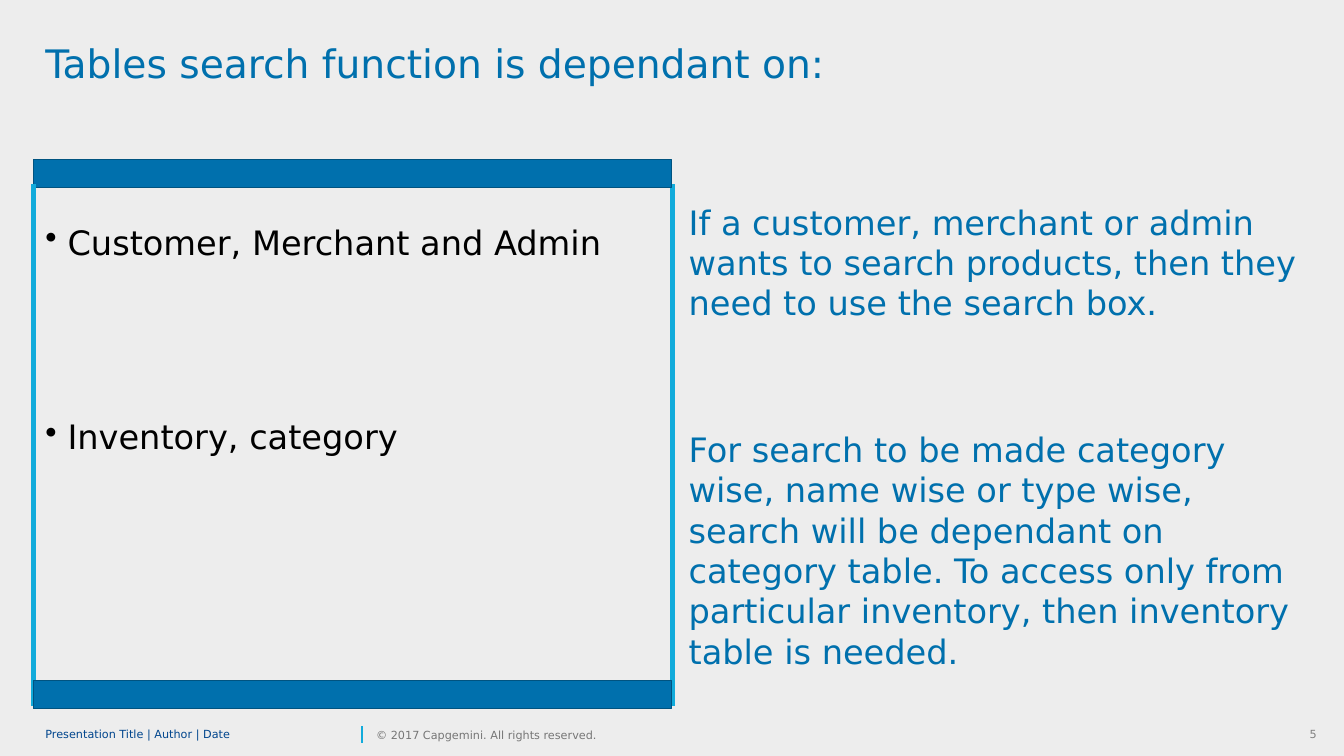
from pptx import Presentation
from pptx import util as u
from pptx.dml.color import RGBColor
from pptx.enum import shapes, text
from pptx.oxml.ns import qn
from lxml import etree

COLORS = {"back": "EDEDED", "blue": "0070AD", "edge": "005380", "cyan": "12ABDB",
          "navy": "00458D", "gray": "808080", "dim": "767676", "black": "000000"}


class Deck:
    font = "DejaVu Sans"

    def __init__(self, width, height):
        self.prs = Presentation()
        self.prs.slide_width, self.prs.slide_height = u.Inches(width), u.Inches(height)
        self.slide = self.prs.slides.add_slide(self.prs.slide_layouts[6])
        fill = self.slide.background.fill
        fill.solid()
        fill.fore_color.rgb = self.color("back")

    def color(self, name):
        return RGBColor.from_string(COLORS[name])

    def bar(self, *place):
        box = self.slide.shapes.add_shape(shapes.MSO_SHAPE.RECTANGLE, *map(u.Inches, place))
        box.shadow.inherit = False
        box.fill.solid()
        box.fill.fore_color.rgb = self.color("blue")
        box.line.color.rgb = self.color("edge")
        box.line.width = u.Pt(1)

    def rule(self, x, top, end, width):
        """Draw a vertical cyan line."""
        line = self.slide.shapes.add_connector(
            shapes.MSO_CONNECTOR.STRAIGHT, *map(u.Inches, (x, end, x, top)))
        line.line.color.rgb = self.color("cyan")
        line.line.width = u.Pt(width)
        etree.SubElement(line._element.spPr, qn("a:effectLst"))

    def text(self, place, lines, size, color, gap=0, bullet=False, **form):
        """Add one paragraph per line, with gap points between them."""
        frame = self.slide.shapes.add_textbox(*map(u.Inches, place)).text_frame
        style = {"word_wrap": True, "margin_left": 0, "margin_right": 0,
                 "margin_top": 0, "margin_bottom": 0,
                 "vertical_anchor": form.pop("anchor", text.MSO_ANCHOR.TOP)}
        for key, value in style.items():
            setattr(frame, key, value)
        for i, line in enumerate(lines):
            para = frame.paragraphs[0] if i == 0 else frame.add_paragraph()
            para.text = line
            if bullet:
                props = para._p.get_or_add_pPr()
                props.set("marL", str(u.Inches(0.22)))
                props.set("indent", str(-u.Inches(0.22)))
                etree.SubElement(props, qn("a:buChar"), char="•")
            for key, value in form.items():
                setattr(para, key, value)
            if i:
                para.space_before = u.Pt(gap)
            for key, value in {"name": self.font, "size": u.Pt(size)}.items():
                setattr(para.font, key, value)
            para.font.color.rgb = self.color(color)


def main():
    deck = Deck(13.33, 7.5)
    mid = text.MSO_ANCHOR.MIDDLE

    deck.text((12.79, 7.22, 0.27, 0.14), ["5"], 8, "gray", alignment=text.PP_ALIGN.RIGHT)
    deck.rule(3.59, 7.2, 7.37, 1)
    deck.text((0.45, 7.17, 3.09, 0.24), ["Presentation Title | Author | Date"],
              8, "navy", anchor=mid, line_spacing=0.85)
    deck.text((3.73, 7.17, 2.43, 0.24), ["© 2017 Capgemini. All rights reserved."],
              8, "dim", anchor=mid)

    deck.text((0.45, 0.44, 12.3, 1.23), ["Tables search function is dependant on:"],
              28, "blue", line_spacing=0.9)
    deck.text((0.45, 2.2, 6.06, 4.86), ["Customer, Merchant and Admin", "Inventory, category"],
              24, "black", gap=110, bullet=True)
    deck.text((6.83, 2, 6.18, 5.14), [
        "If a customer, merchant or admin wants to search products, "
        "then they need to use the search box.",
        "For search to be made category wise, name wise or type wise, search will be "
        "dependant on category table. To access only from particular inventory, "
        "then inventory table is needed."], 24, "blue", gap=76)

    for x, y in ((6.67, 1.58), (0.33, 6.75)):
        deck.rule(x, 1.83, 7, 3.75)
        deck.bar(0.33, y, 6.33, 0.28)

    deck.prs.save("out.pptx")


if __name__ == "__main__":
    main()
